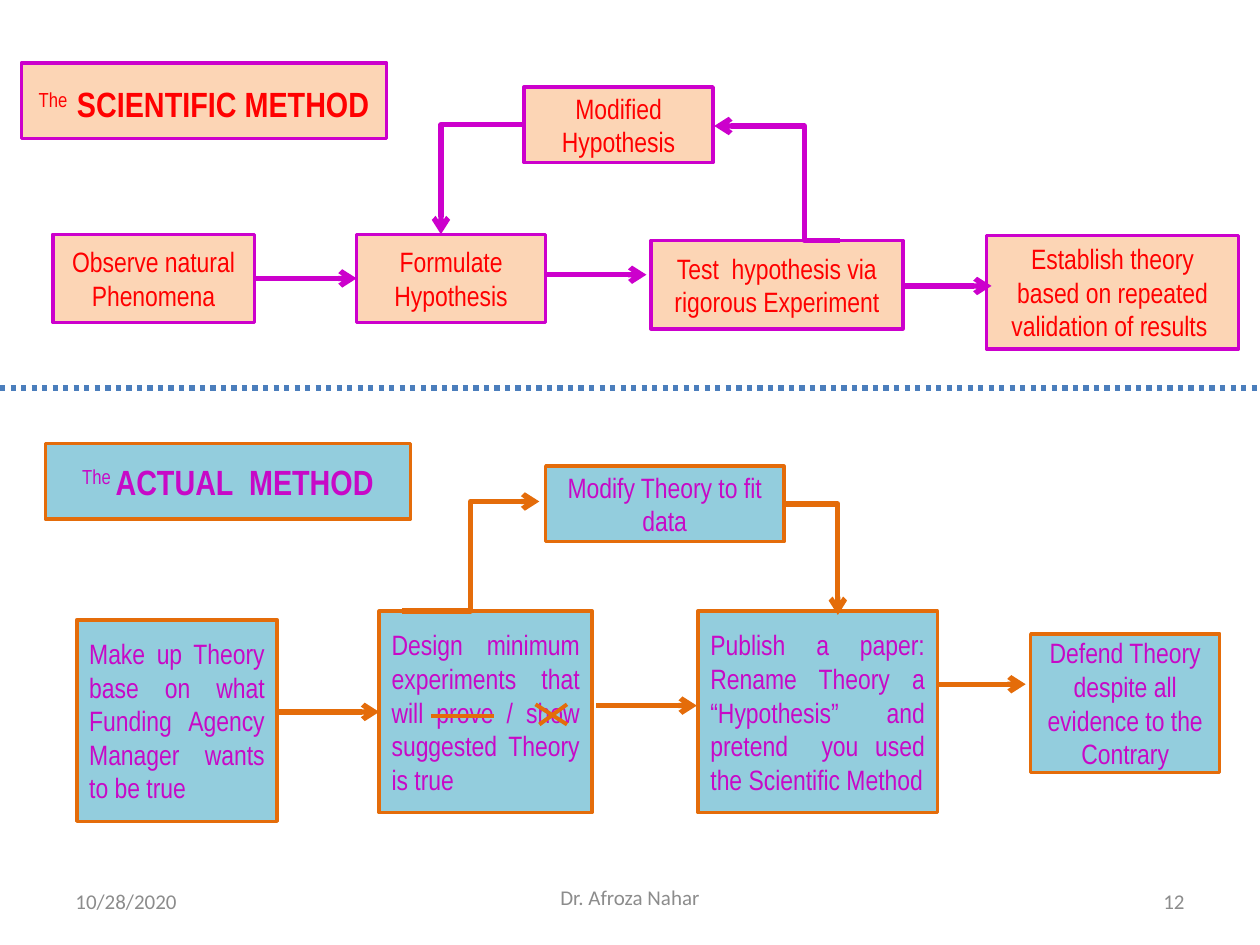
from pptx import Presentation
from pptx.dml.color import RGBColor
from pptx.enum.dml import MSO_LINE
from pptx.enum.shapes import MSO_CONNECTOR as CONN, MSO_SHAPE as SHAPE
from pptx.enum.text import MSO_ANCHOR as ANCHOR, PP_ALIGN as ALIGN
from pptx.oxml.ns import qn
from pptx.util import Pt
from lxml.etree import SubElement

THEME = {
    "scientific": {"fill": "FCD5B5", "line": "CC00CC", "text": "FF0000"},
    "actual": {"fill": "93CDDD", "line": "E46C0A", "text": "C709C7"},
    "divider": "4B7EBC",
    "footer": "8C8C8C",
    "font": "Arial Narrow",
    "footer_font": "Calibri",
    "title_size": 20,
    "space_size": 24,
    "body_size": 16,
    "footer_size": 12,
    "border": 2,
    "arrow": 3,
    "strike": 2.25,
}

METHODS = [
    {
        "theme": "scientific",
        "title": ((12.2, 36, 208.8, 43.2), [("The", "sup"), (" ", "space"), ("SCIENTIFIC METHOD", "bold")]),
        "boxes": [
            ((30.2, 133.9, 115.2, 50.4), ALIGN.CENTER, "Observe natural Phenomena"),
            ((203.8, 133.9, 108, 50.4), ALIGN.CENTER, "Formulate Hypothesis"),
            ((372, 137.5, 144, 50.4), ALIGN.CENTER, "Test  hypothesis via rigorous Experiment"),
            ((563.8, 134.6, 144, 64.8), ALIGN.CENTER, "Establish theory based on repeated validation of results "),
            ((299.5, 49.7, 108, 43.2), ALIGN.CENTER, "Modified Hypothesis"),
        ],
        "arrows": [(145.4, 159.1, 203.8, 159.1), (311.8, 157, 369.4, 157), (516.2, 163.4, 566.6, 163.4)],
        "corners": [(299.5, 71.3, 252, 133.9)],
        "elbows": [((480.2, 137.5, 408.2, 72), 0.284)],
        "strikes": [],
    },
    {
        "theme": "actual",
        "title": ((25.9, 253.4, 208.8, 43.2), [("The ", "sup"), ("ACTUAL  METHOD", "bold")]),
        "boxes": [
            ((43.9, 354.2, 114.5, 115.2), ALIGN.JUSTIFY,
             "Make up Theory base on what Funding Agency Manager wants to be true"),
            ((216.7, 349.2, 121.7, 115.2), ALIGN.JUSTIFY,
             "Design minimum experiments that will prove / show suggested Theory is true"),
            ((398.9, 349.2, 136.8, 115.2), ALIGN.JUSTIFY,
             "Publish a paper: Rename Theory a “Hypothesis” and pretend  you used the Scientific Method"),
            ((589, 362.2, 108, 79.2), ALIGN.CENTER, "Defend Theory despite all evidence to the Contrary"),
            ((311.8, 266.4, 136.1, 43.2), ALIGN.CENTER, "Modify Theory to fit data"),
        ],
        "arrows": [(158.4, 406.8, 216.7, 406.8), (340.6, 403.2, 398.2, 403.2), (535.7, 391, 586.1, 391)],
        "corners": [(447.8, 288, 478.8, 351.4)],
        "elbows": [((229.7, 349.2, 308.2, 286.6), 0.5)],
        "strikes": [(246.2, 409, 282.2, 409), (306, 402.5, 324, 414), (324, 402.5, 308.2, 414)],
    },
]
DIVIDER = (-24, 221.8, 739.4, 221.8)
FOOTER = [
    ((36, 500.4, 168, 28.8), ALIGN.LEFT, "10/28/2020"),
    ((246, 498.2, 228, 28.8), ALIGN.CENTER, "Dr. Afroza Nahar"),
    ((516, 500.4, 168, 28.8), ALIGN.RIGHT, "12"),
]


def pts(values):
    return [Pt(v) for v in values]


def rgb(color):
    return RGBColor.from_string(color)


def write(sp, align, runs, font, color):
    tf = sp.text_frame
    tf.word_wrap = True
    tf.vertical_anchor = ANCHOR.MIDDLE
    p = tf.paragraphs[0]
    p.alignment = align
    for text, style in runs:
        r = p.add_run()
        r.text = text
        r.font.name = font
        r.font.color.rgb = rgb(color)
        sizes = {"body": "body_size", "footer": "footer_size", "space": "space_size"}
        r.font.size = Pt(THEME[sizes.get(style, "title_size")])
        if style == "bold":
            r.font.bold = True
        if style == "sup":
            r._r.get_or_add_rPr().set("baseline", "30000")


def add_box(s, at, align, runs, look):
    sp = s.shapes.add_shape(SHAPE.RECTANGLE, *pts(at))
    sp.shadow.inherit = False
    sp.fill.solid()
    sp.fill.fore_color.rgb = rgb(look["fill"])
    sp.line.color.rgb = rgb(look["line"])
    sp.line.width = Pt(THEME["border"])
    write(sp, align, runs, THEME["font"], look["text"])


def add_line(s, ends, color, width, kind=CONN.STRAIGHT, arrow=False):
    c = s.shapes.add_connector(kind, *pts(ends))
    c.line.color.rgb = rgb(color)
    c.line.width = Pt(width)
    if arrow:
        SubElement(c.line._get_or_add_ln(), qn("a:tailEnd"), type="arrow")
    SubElement(c._element.spPr, qn("a:effectLst"))
    return c


def add_method(s, method):
    look = THEME[method["theme"]]
    color, width = look["line"], THEME["arrow"]
    at, runs = method["title"]
    add_box(s, at, ALIGN.CENTER, runs, look)
    for at, align, text in method["boxes"]:
        add_box(s, at, align, [(text, "body")], look)
    for ends in method["arrows"]:
        add_line(s, ends, color, width, arrow=True)
    for ends in method["corners"]:
        c = add_line(s, ends, color, width, CONN.ELBOW, True)
        c._element.spPr.find(qn("a:prstGeom")).set("prst", "bentConnector2")
    for ends, bend in method["elbows"]:
        c = add_line(s, ends, color, width, CONN.ELBOW, True)
        guides = c._element.spPr.find(qn("a:prstGeom")).find(qn("a:avLst"))
        SubElement(guides, qn("a:gd"), name="adj1", fmla=f"val {round(bend * 100000)}")
    for ends in method["strikes"]:
        add_line(s, ends, color, THEME["strike"])


def main():
    prs = Presentation()
    prs.slide_width, prs.slide_height = Pt(720), Pt(540)
    s = prs.slides.add_slide(prs.slide_layouts[6])
    for at, align, text in FOOTER:
        sp = s.shapes.add_textbox(*pts(at))
        write(sp, align, [(text, "footer")], THEME["footer_font"], THEME["footer"])
    for method in METHODS:
        add_method(s, method)
    c = add_line(s, DIVIDER, THEME["divider"], THEME["arrow"])
    c.line.dash_style = MSO_LINE.ROUND_DOT
    prs.save("out.pptx")


if __name__ == "__main__":
    main()
